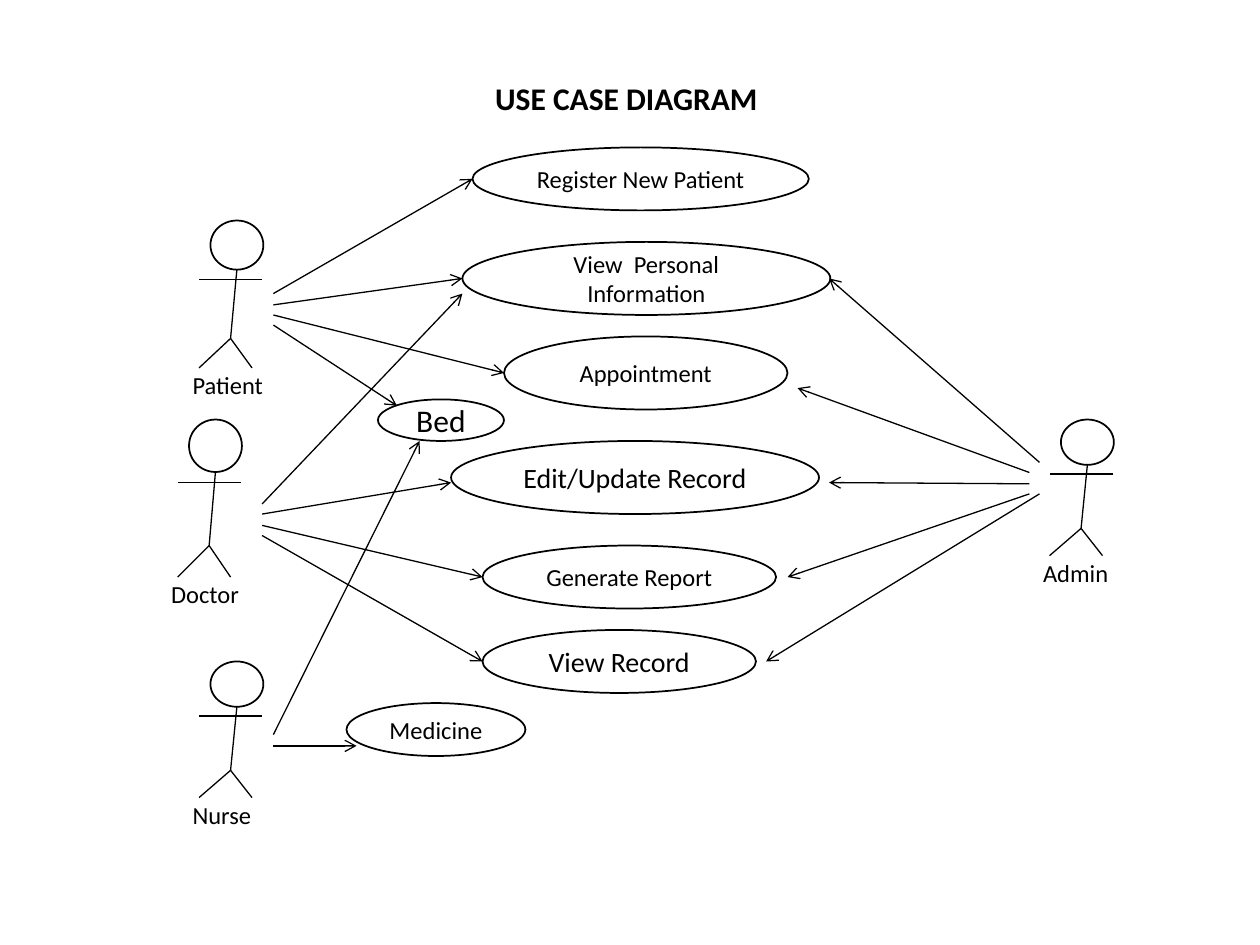
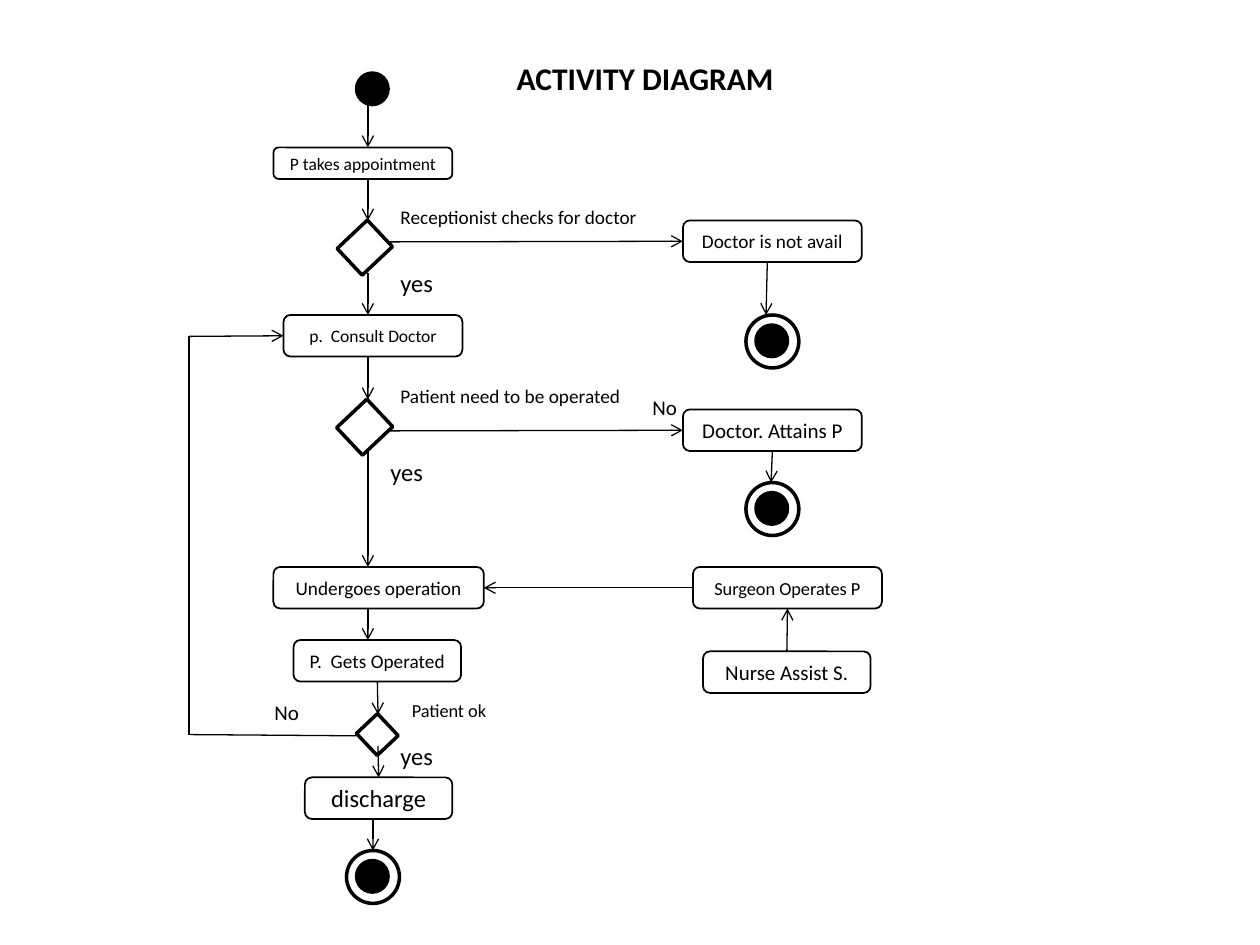
from collections import namedtuple

from lxml import etree
from pptx import Presentation
from pptx.dml.color import RGBColor
from pptx.enum import shapes, text
from pptx.oxml.ns import qn
from pptx.util import Inches, Pt

BLACK = RGBColor(0, 0, 0)
WHITE = RGBColor(255, 255, 255)
FONT = "Calibri"
TITLE_ONLY = 5

TOP, LEFT, BOTTOM, RIGHT = range(4)
Side = namedtuple("Side", "shape site")  # a line end joined to a shape


class Diagram:
    """Holds the diagram style and the slide being drawn; lengths are inches."""

    def __init__(self, presentation):
        self.presentation = presentation
        self.slide = None

    def new_slide(self, title, left, top, width):
        layout = self.presentation.slide_layouts[TITLE_ONLY]
        self.slide = self.presentation.slides.add_slide(layout)
        heading = self.slide.shapes.title
        heading.left, heading.top = Inches(left), Inches(top)
        heading.width, heading.height = Inches(width), Inches(0.4)
        self.set_words(heading, title, 18, bold=True)
        self.keep_top_left(heading)

    def set_words(self, shape, words, size, bold=False):
        shape.text_frame.text = words
        font = shape.text_frame.paragraphs[0].runs[0].font
        font.name, font.size, font.bold = FONT, Pt(size), bold
        font.color.rgb = BLACK

    def keep_top_left(self, shape):
        frame = shape.text_frame
        frame.word_wrap = False
        frame.auto_size = text.MSO_AUTO_SIZE.NONE
        frame.vertical_anchor = text.MSO_ANCHOR.TOP
        frame.paragraphs[0].alignment = text.PP_ALIGN.LEFT

    def label(self, words, left, top, size, width=1.0):
        box = self.slide.shapes.add_textbox(
            Inches(left), Inches(top), Inches(width), Inches(0.34))
        self.set_words(box, words, size)
        self.keep_top_left(box)

    def shape(self, kind, left, top, width, height, weight=1, fill=WHITE):
        shape = self.slide.shapes.add_shape(
            kind, Inches(left), Inches(top), Inches(width), Inches(height))
        shape.shadow.inherit = False
        shape.fill.solid()
        shape.fill.fore_color.rgb = fill
        shape.line.color.rgb = BLACK
        shape.line.width = Pt(weight)
        return shape

    def oval(self, left, top, width, height, **style):
        return self.shape(shapes.MSO_SHAPE.OVAL, left, top, width, height, **style)

    def use_case(self, words, size, left, top, width, height):
        self.set_centred_words(self.oval(left, top, width, height), words, size)

    def activity(self, words, size, left, top, width, height=0.33):
        box = self.shape(shapes.MSO_SHAPE.FLOWCHART_ALTERNATE_PROCESS,
                         left, top, width, height)
        self.set_centred_words(box, words, size)
        return box

    def set_centred_words(self, shape, words, size):
        self.set_words(shape, words, size)
        shape.text_frame.vertical_anchor = text.MSO_ANCHOR.MIDDLE
        shape.text_frame.paragraphs[0].alignment = text.PP_ALIGN.CENTER

    def decision(self, left, top, width, height):
        diamond = self.shape(shapes.MSO_SHAPE.RECTANGLE,
                             left, top, width, height, weight=2)
        diamond.rotation = 316.7

    def dot(self, left, top):
        self.oval(left, top, 0.25, 0.25, weight=2, fill=BLACK)

    def end_state(self, left, top):
        self.oval(left, top, 0.42, 0.42, weight=2)
        self.dot(left + 0.08, top + 0.08)

    def line(self, start, end, arrow=False):
        """Draw a line; each end is a point (x, y) or a Side to join."""
        points = [(0, 0) if isinstance(p, Side) else p for p in (start, end)]
        connector = self.slide.shapes.add_connector(
            shapes.MSO_CONNECTOR.STRAIGHT,
            *[Inches(value) for point in points for value in point])
        if isinstance(start, Side):
            connector.begin_connect(start.shape, start.site)
        if isinstance(end, Side):
            connector.end_connect(end.shape, end.site)
        connector.line.color.rgb = BLACK
        connector.line.width = Pt(0.75)
        properties = connector._element.spPr
        if arrow:
            etree.SubElement(properties.find(qn("a:ln")), qn("a:tailEnd"), type="arrow")
        etree.SubElement(properties, qn("a:effectLst"))

    def arrow(self, start, end):
        self.line(start, end, arrow=True)

    def actor(self, name, left, top, height):
        """Stick figure whose head starts at left, top, with its name below."""
        neck, arms, hip = (top + height * part for part in (1 / 3, 0.4, 0.8))
        feet = top + height
        hip_point = (left + 0.16, hip)
        self.oval(left, top, 0.42, height / 3)
        self.line((left + 0.21, neck), hip_point)
        self.line(hip_point, (left - 0.09, feet))
        self.line(hip_point, (left + 0.33, feet))
        self.line((left - 0.09, arms), (left + 0.41, arms))
        self.label(name, left - 0.24, feet - 0.03, 14)


def draw_use_cases(diagram):
    diagram.new_slide("USE CASE DIAGRAM", 3.83, 0.58, 2.3)

    for actor in (("Patient", 1.67, 1.75, 1.17), ("Doctor", 1.5, 3.33, 1.25),
                  ("Nurse", 1.67, 5.25, 1.08), ("Admin", 8.42, 3.33, 1.08)):
        diagram.actor(*actor)

    for use_case in (
        ("Register New Patient", 14, 3.75, 1.17, 2.67, 0.5),
        ("View  Personal Information", 14, 3.67, 1.92, 2.92, 0.58),
        ("Appointment", 14, 4, 2.67, 2.25, 0.58),
        ("Bed", 18, 3, 3.17, 1, 0.33),
        ("Edit/Update Record", 16, 3.58, 3.5, 2.92, 0.58),
        ("Generate Report", 14, 3.83, 4.33, 2.33, 0.5),
        ("View Record", 16, 3.83, 5, 2.17, 0.5),
        ("Medicine", 14, 2.75, 5.58, 1.42, 0.42),
    ):
        diagram.use_case(*use_case)

    patient_uses = (((2.17, 2.33), (3.75, 1.42)), ((2.17, 2.42), (3.67, 2.21)),
                    ((2.17, 2.5), (4, 2.96)), ((2.17, 2.58), (3.15, 3.22)))
    doctor_uses = (((2.08, 4), (3.67, 2.33)), ((2.08, 4.08), (3.58, 3.83)),
                   ((2.08, 4.17), (3.83, 4.58)), ((2.08, 4.25), (3.83, 5.25)))
    nurse_uses = (((2.17, 5.83), (3.33, 3.5)), ((2.17, 5.92), (2.83, 5.92)))
    admin_uses = (((8.25, 3.67), (6.58, 2.21)), ((8.17, 3.75), (6.33, 3.08)),
                  ((8.17, 3.84), (6.58, 3.83)), ((8.17, 3.92), (6.25, 4.58)),
                  ((8.25, 3.92), (6.08, 5.25)))
    for start, end in patient_uses + doctor_uses + nurse_uses + admin_uses:
        diagram.arrow(start, end)


def draw_activities(diagram):
    diagram.new_slide("ACTIVITY DIAGRAM", 4, 0.42, 2.26)

    diagram.dot(2.83, 0.58)
    for left, top in ((5.92, 2.5), (5.92, 3.83), (2.75, 6.75)):
        diagram.end_state(left, top)
    for decision in ((2.73, 1.82, 0.33, 0.29), (2.73, 3.24, 0.33, 0.3),
                     (2.88, 5.71, 0.23, 0.24)):
        diagram.decision(*decision)

    diagram.activity("P takes appointment", 10, 2.17, 1.17, 1.42, 0.25)
    unavailable = diagram.activity("Doctor is not avail", 11, 5.42, 1.75, 1.42)
    consult = diagram.activity("p.  Consult Doctor", 10, 2.25, 2.5, 1.42)
    attains = diagram.activity("Doctor. Attains P", 12, 5.42, 3.25, 1.42)
    undergoes = diagram.activity("Undergoes operation", 11, 2.17, 4.5, 1.67)
    operated = diagram.activity("P.  Gets Operated", 11, 2.33, 5.08, 1.33)
    discharge = diagram.activity("discharge", 14, 2.42, 6.17, 1.17)
    surgeon = diagram.activity("Surgeon Operates P", 10.5, 5.5, 4.5, 1.5)
    nurse = diagram.activity("Nurse Assist S.", 12, 5.58, 5.17, 1.33)

    main_x = 2.92
    for start_y, end_y in ((0.83, 1.17), (1.42, 1.75), (2.17, 2.5),
                           (2.83, 3.17), (3.58, 4.5), (4.83, 5.08)):
        diagram.arrow((main_x, start_y), (main_x, end_y))
    for start, end in (
        ((3.08, 1.92), Side(unavailable, LEFT)),
        ((6.09, 2.08), (6.08, 2.5)),
        ((3.08, 3.42), Side(attains, LEFT)),
        (Side(attains, BOTTOM), (6.12, 3.83)),
        (Side(nurse, TOP), Side(surgeon, BOTTOM)),
        (Side(surgeon, LEFT), Side(undergoes, RIGHT)),
        (Side(operated, BOTTOM), (3, 5.67)),
        ((3, 5.92), Side(discharge, TOP)),
        ((2.96, 6.5), (2.96, 6.75)),
        ((1.5, 2.67), Side(consult, LEFT)),
    ):
        diagram.arrow(start, end)
    diagram.line((1.5, 2.67), (1.5, 5.83))
    diagram.line((1.5, 5.83), (2.83, 5.84))

    for label in (
        ("Receptionist checks for doctor", 3.08, 1.58, 11, 2.09),
        ("yes", 3.08, 2.08, 14, 0.46),
        ("Patient need to be operated", 3.08, 3, 11, 1.97),
        ("No", 5.08, 3.08, 12, 0.4),
        ("yes", 3, 3.58, 14, 0.46),
        ("No", 2.08, 5.5, 12, 0.4),
        ("Patient ok", 3.17, 5.5, 10.5, 0.83),
        ("yes", 3.08, 5.83, 14, 0.46),
    ):
        diagram.label(*label)


def main():
    presentation = Presentation()
    presentation.slide_width, presentation.slide_height = Inches(10), Inches(7.5)
    diagram = Diagram(presentation)
    draw_use_cases(diagram)
    draw_activities(diagram)
    presentation.save("out.pptx")


if __name__ == "__main__":
    main()
